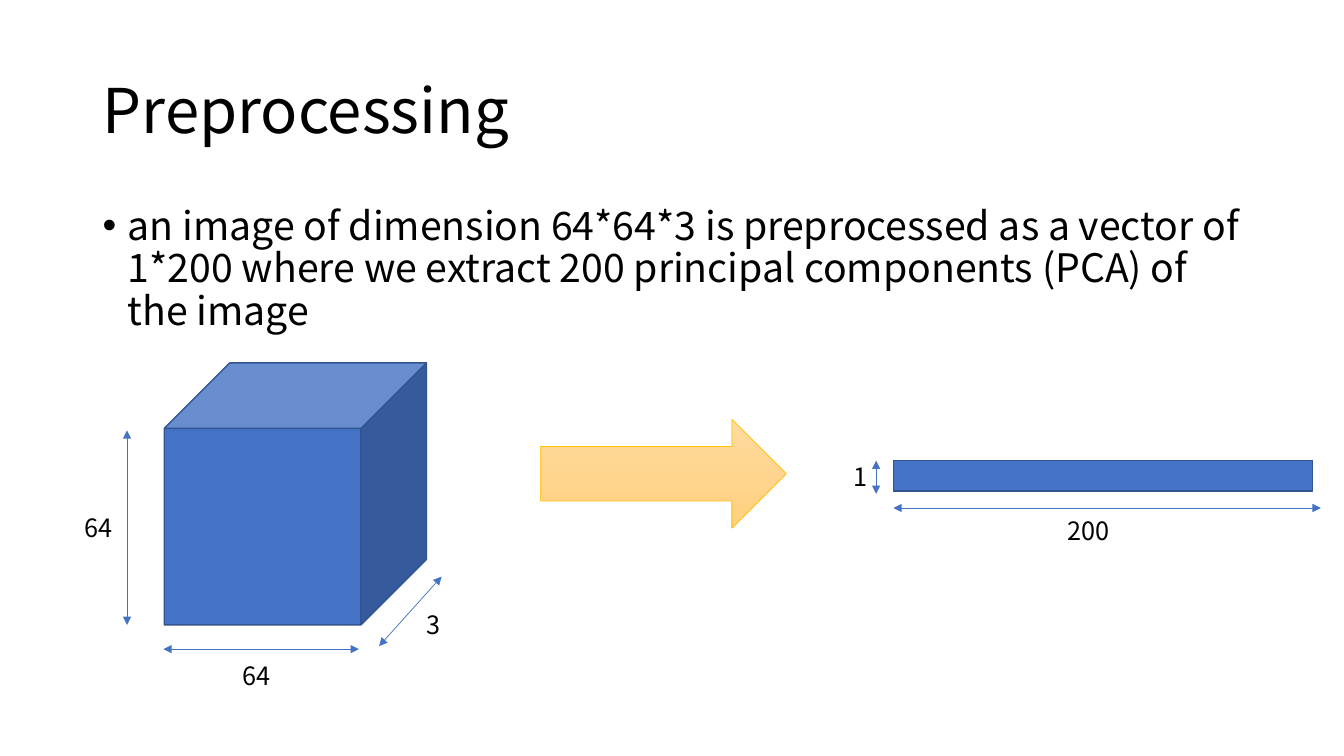
from copy import deepcopy

from lxml import etree
from pptx import Presentation
from pptx.dml.color import RGBColor
from pptx.enum.shapes import MSO_CONNECTOR, MSO_SHAPE
from pptx.enum.text import MSO_ANCHOR, MSO_AUTO_SIZE, PP_ALIGN
from pptx.oxml.ns import qn
from pptx.util import Inches, Pt

STRAIGHT = MSO_CONNECTOR.STRAIGHT
CUBE, ARROW, BAR = MSO_SHAPE.CUBE, MSO_SHAPE.RIGHT_ARROW, MSO_SHAPE.RECTANGLE
LEFT, TOP, MIDDLE = PP_ALIGN.LEFT, MSO_ANCHOR.TOP, MSO_ANCHOR.MIDDLE
NO_FIT = MSO_AUTO_SIZE.NONE

BLACK = RGBColor(0x00, 0x00, 0x00)
BLUE = RGBColor(0x44, 0x72, 0xC4)
DARK_BLUE = RGBColor(0x32, 0x54, 0x91)
GOLD = RGBColor(0xFF, 0xC0, 0x00)
GOLD_STOPS = [
    (0, RGBColor(0xFF, 0xDB, 0x9E)),
    (0.5, RGBColor(0xFF, 0xD5, 0x90)),
    (1, RGBColor(0xFF, 0xD0, 0x7C)),
]
FONT = "Noto Sans CJK SC"

# Content: all lengths in inches
WIDTH, HEIGHT = 13.33, 7.5
MARGIN = 0.92
TITLE = "Preprocessing"
BULLET = ("an image of dimension 64*64*3 is preprocessed as a vector of 1*200 "
          "where we extract 200 principal components (PCA) of the image")
TITLE_AREA = (MARGIN, 0.4, 11.5, 1.45)
BODY_AREA = (MARGIN, 2, 11.5, 4.76)
CUBE_AREA = (1.63, 3.6, 2.6, 2.6)
ARROW_AREA = (5.36, 4.16, 2.44, 1.08)
BAR_AREA = (8.86, 4.57, 4.16, 0.3)

# Each dimension: label, label left, top and width, line start, line end
DIMENSIONS = [
    ("64", (2.31, 6.5, 0.57), (1.62, 6.44), (3.56, 6.44)),
    ("64", (0.74, 5.03, 0.62), (1.26, 4.27), (1.26, 6.2)),
    ("3", (4.13, 6, 0.48), (3.76, 6.41), (4.38, 5.72)),
    ("200", (10.49, 5.06, 0.97), (8.86, 5.04), (13.1, 5.04)),
    ("1", (8.37, 4.53, 0.26), (8.69, 4.57), (8.69, 4.9)),
]
LABEL_HEIGHT = 0.4


def inches(values):
    return [Inches(value) for value in values]


def write(frame, text, size, anchor=TOP, spacing=None):
    frame.word_wrap = True
    frame.auto_size = NO_FIT
    frame.vertical_anchor = anchor
    para = frame.paragraphs[0]
    para.alignment = LEFT
    if spacing:
        para.line_spacing = spacing
    span = para.add_run()
    span.text = text
    span.font.size = Pt(size)
    span.font.name = FONT
    span.font.color.rgb = BLACK
    return para


def add_text(page, area, text, size, spacing=None):
    box = page.shapes.add_textbox(*inches(area))
    return write(box.text_frame, text, size, spacing=spacing)


def add_block(page, kind, area, line_color, line_width):
    block = page.shapes.add_shape(kind, *inches(area))
    block.shadow.inherit = False
    block.fill.solid()
    block.fill.fore_color.rgb = BLUE
    block.line.color.rgb = line_color
    block.line.width = Pt(line_width)
    return block


def add_gradient(shape, stops):
    shape.fill.gradient()
    shape.fill.gradient_angle = 270
    stop_list = shape._element.spPr.find(qn("a:gradFill")).find(qn("a:gsLst"))
    while len(stop_list) < len(stops):
        stop_list.append(deepcopy(stop_list[0]))
    for stop, (position, color) in zip(shape.fill.gradient_stops, stops):
        stop.position = position
        stop.color.rgb = color


def add_dimension(page, label, place, start, end):
    line = page.shapes.add_connector(STRAIGHT, *inches(start + end))
    line.line.color.rgb = BLUE
    line.line.width = Pt(0.5)
    outline = line.line._get_or_add_ln()
    for tip in ("a:headEnd", "a:tailEnd"):
        etree.SubElement(outline, qn(tip), type="triangle")
    etree.SubElement(line._element.spPr, qn("a:effectLst"))
    add_text(page, place + (LABEL_HEIGHT,), label, 18)


def main():
    deck = Presentation()
    deck.slide_width, deck.slide_height = inches((WIDTH, HEIGHT))
    page = deck.slides.add_slide(deck.slide_layouts[5])

    # Title and bullet
    title = page.shapes.title
    title.left, title.top, title.width, title.height = inches(TITLE_AREA)
    write(title.text_frame, TITLE, 44, MIDDLE, 0.9)
    para = add_text(page, BODY_AREA, BULLET, 28, 0.9)
    properties = para._p.get_or_add_pPr()
    properties.set("marL", str(Inches(0.25)))
    properties.set("indent", str(Inches(-0.25)))
    etree.SubElement(properties, qn("a:buFont"), typeface="Arial")
    etree.SubElement(properties, qn("a:buChar"), char="•")

    # Image cube, arrow and vector
    add_block(page, CUBE, CUBE_AREA, DARK_BLUE, 1)
    arrow = add_block(page, ARROW, ARROW_AREA, GOLD, 0.5)
    add_gradient(arrow, GOLD_STOPS)
    add_block(page, BAR, BAR_AREA, DARK_BLUE, 1)

    # Dimension lines with labels
    for dimension in DIMENSIONS:
        add_dimension(page, *dimension)

    deck.save("out.pptx")


if __name__ == "__main__":
    main()
